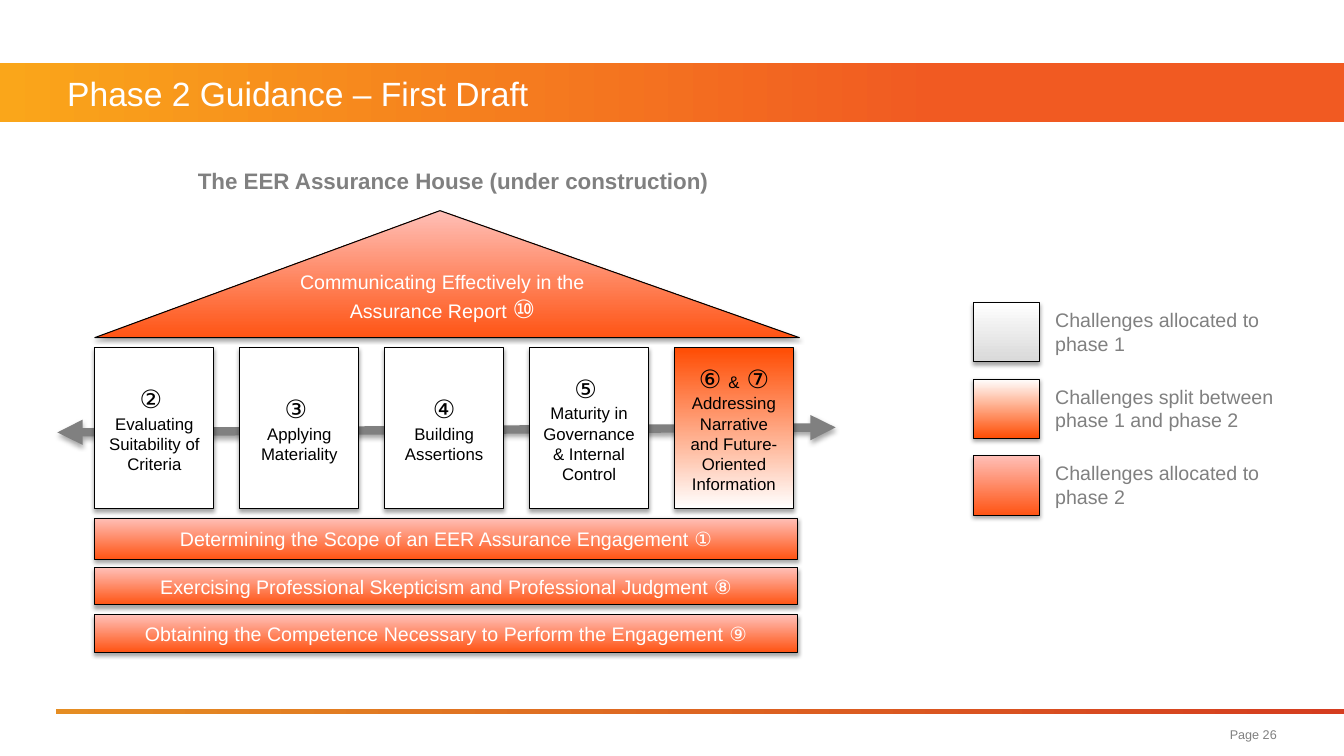
from lxml.etree import SubElement
from pptx import Presentation
from pptx.dml.color import RGBColor
from pptx.enum.shapes import MSO_CONNECTOR as Connector, MSO_SHAPE as Preset
from pptx.enum.text import MSO_ANCHOR as Anchor, PP_ALIGN as Align
from pptx.oxml.ns import qn
from pptx.util import Pt

GREY, WHITE, BLACK = "808080", "FFFFFF", "000000"
PHASE_1 = ("D9D9D9", WHITE)
SPLIT = ("FF4C03", WHITE)
PHASE_2 = ("FF5414", "FFBFB7")

PILLARS = [
    ([("② \n", 18), ("Evaluating Suitability of Criteria", 12)], WHITE),
    ([("③ \n", 18), ("Applying Materiality", 12)], WHITE),
    ([("④\n", 18), ("Building Assertions", 12)], WHITE),
    ([("⑤ \n", 18), ("Maturity in Governance & Internal Control", 12)], WHITE),
    ([("⑥ ", 18), ("&", 12), (" ⑦ ", 18),
      ("Addressing Narrative and Future-Oriented Information", 12)], SPLIT[::-1]),
]
FOUNDATIONS = [
    ("Determining the Scope of an EER Assurance Engagement ①", 219.6, 29.5),
    ("Exercising Professional Skepticism and Professional Judgment ⑧", 255, 26.6),
    ("Obtaining the Competence Necessary to Perform the Engagement ⑨", 288.7, 26.6),
]
LEGEND = [
    ("Challenges allocated to phase 1", PHASE_1),
    ("Challenges split between phase 1 and phase 2", SPLIT),
    ("Challenges allocated to phase 2", PHASE_2),
]


def color(value):
    return RGBColor.from_string(value)


def points(*lengths):
    return [Pt(length) for length in lengths]


def paint(fill, shade, angle=90, end=1.0):
    if isinstance(shade, str):
        fill.solid()
        fill.fore_color.rgb = color(shade)
        return
    fill.gradient()
    fill.gradient_angle = angle
    for stop, value, position in zip(fill.gradient_stops, shade, (0, end)):
        stop.color.rgb = color(value)
        stop.position = position


def add_shadow(effects):
    shadow = SubElement(effects, qn("a:outerShdw"), blurRad=str(Pt(3.1)),
                        dist=str(Pt(1.8)), dir="5400000", rotWithShape="0")
    tint = SubElement(shadow, qn("a:srgbClr"), val=BLACK)
    SubElement(tint, qn("a:alpha"), val="35000")


def write(shape, pieces, ink, align=Align.CENTER, anchor=Anchor.MIDDLE,
          bold=False, margin=None):
    frame = shape.text_frame
    frame.word_wrap = True
    frame.vertical_anchor = anchor
    if margin is not None:
        frame.margin_left = frame.margin_right = Pt(margin)
        frame.margin_top = frame.margin_bottom = Pt(margin)
    para = frame.paragraphs[0]
    para.alignment = align
    for text, size in pieces:
        span = para.add_run()
        span.text = text.rstrip("\n")
        span.font.name = "Arial"
        span.font.size = Pt(size)
        span.font.bold = bold
        span.font.color.rgb = color(ink)
        if text.endswith("\n"):
            para.add_line_break()


def add_label(page, box, pieces, ink, **style):
    label = page.shapes.add_textbox(*points(*box))
    write(label, pieces, ink, **style)


def add_band(page, box, shade, end=1.0):
    band = page.shapes.add_shape(Preset.RECTANGLE, *points(*box))
    band.shadow.inherit = False
    band.line.fill.background()
    paint(band.fill, shade, 0, end)


def add_block(page, box, shade, preset=Preset.RECTANGLE):
    block = page.shapes.add_shape(preset, *points(*box))
    block.shadow.inherit = False
    paint(block.fill, shade)
    block.line.color.rgb = color(BLACK)
    block.line.width = Pt(0.75)
    add_shadow(block._element.spPr.find(qn("a:effectLst")))
    return block


def add_header(page, box):
    left, top, width, height = box
    add_band(page, box, ("FAA61A", "F15A22"), 0.7)
    title = page.shapes.title
    title.left, title.top, title.width, title.height = points(
        left + 48, top, width - 96, height)
    write(title, [("Phase 2 Guidance – First Draft", 24)], WHITE,
          align=Align.LEFT, margin=0)
    title._element.getparent().append(title._element)


def add_footer(page, box):
    left, top, width, height = box
    add_band(page, (left, top, width, 3.6), ("E58D23", "D53D20"))
    add_label(page, (left + width - 337.2, top + 6.5, 289.2, height - 6.5),
              [("Page 26", 9)], GREY, align=Align.RIGHT, margin=0)


def add_arrow(page, start, finish):
    arrow = page.shapes.add_connector(Connector.STRAIGHT, *points(*start, *finish))
    arrow.line.color.rgb = color(GREY)
    arrow.line.width = Pt(6)
    line = arrow.line._get_or_add_ln()
    for end in ("a:headEnd", "a:tailEnd"):
        SubElement(line, qn(end), type="triangle")
    add_shadow(SubElement(arrow._element.spPr, qn("a:effectLst")))


def add_house(page, box):
    left, top, width, height = box
    add_label(page, (left + 61.2, top - 32.4, 389.5, 22.3),
              [("The EER Assurance House (under construction)", 16)], GREY,
              bold=True, margin=0)
    add_arrow(page, (left - 26.7, top + 158.4), (left + width + 27.4, top + 154.8))

    roof = add_block(page, (left, top, width + 1.5, 90.7), PHASE_2,
                     Preset.ISOSCELES_TRIANGLE)
    roof.adjustments[0] = 0.49
    add_label(page, (left + 138.2, top + 38.9, 220.3, 46),
              [("Communicating Effectively in the Assurance Report ", 14), ("⑩", 18)],
              WHITE, anchor=Anchor.TOP)

    for index, (pieces, shade) in enumerate(PILLARS):
        pillar = add_block(page, (left + 103.5 * index, top + 97.9, 85.2, 115.2), shade)
        write(pillar, pieces, BLACK)

    for text, offset, thickness in FOUNDATIONS:
        foundation = add_block(page, (left, top + offset, width, thickness), PHASE_2)
        write(foundation, [(text, 14)], WHITE)


def add_legend(page, box):
    left, top, width, height = box
    swatch = 42.5
    step = (height - swatch) / (len(LEGEND) - 1)
    for index, (text, shade) in enumerate(LEGEND):
        row = top + step * index
        add_block(page, (left, row, 46.8, swatch), shade)
        add_label(page, (left + 51.1, row + 0.5, width - 51.1, 41), [(text, 14)],
                  GREY, align=Align.LEFT, anchor=Anchor.TOP)


def main():
    deck = Presentation()
    deck.slide_width, deck.slide_height = points(960, 540)
    page = deck.slides.add_slide(deck.slide_layouts[5])
    add_header(page, (0, 44.9, 960, 42.5))
    add_footer(page, (40, 506.2, 920, 30.3))
    add_house(page, (67.7, 150.5, 501.8, 315.4))
    add_legend(page, (695.5, 216, 239, 152))
    deck.save("out.pptx")


if __name__ == "__main__":
    main()
